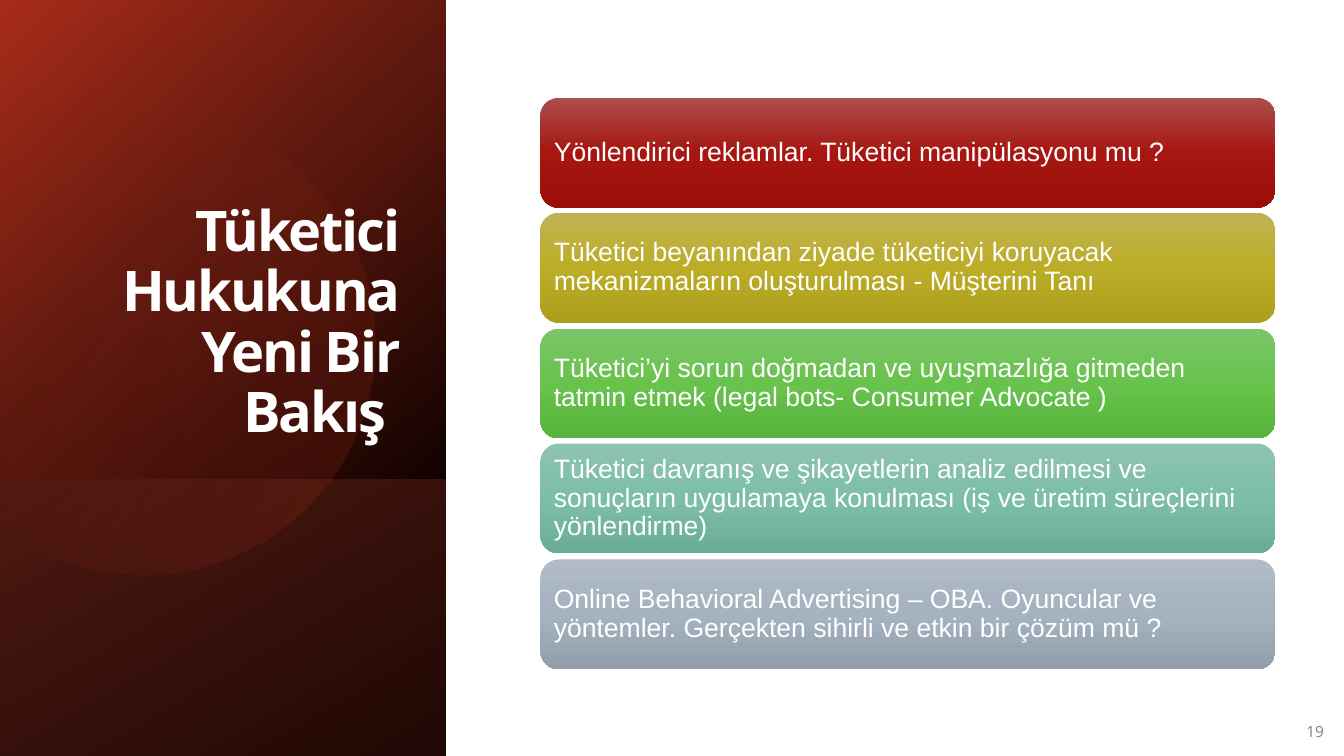
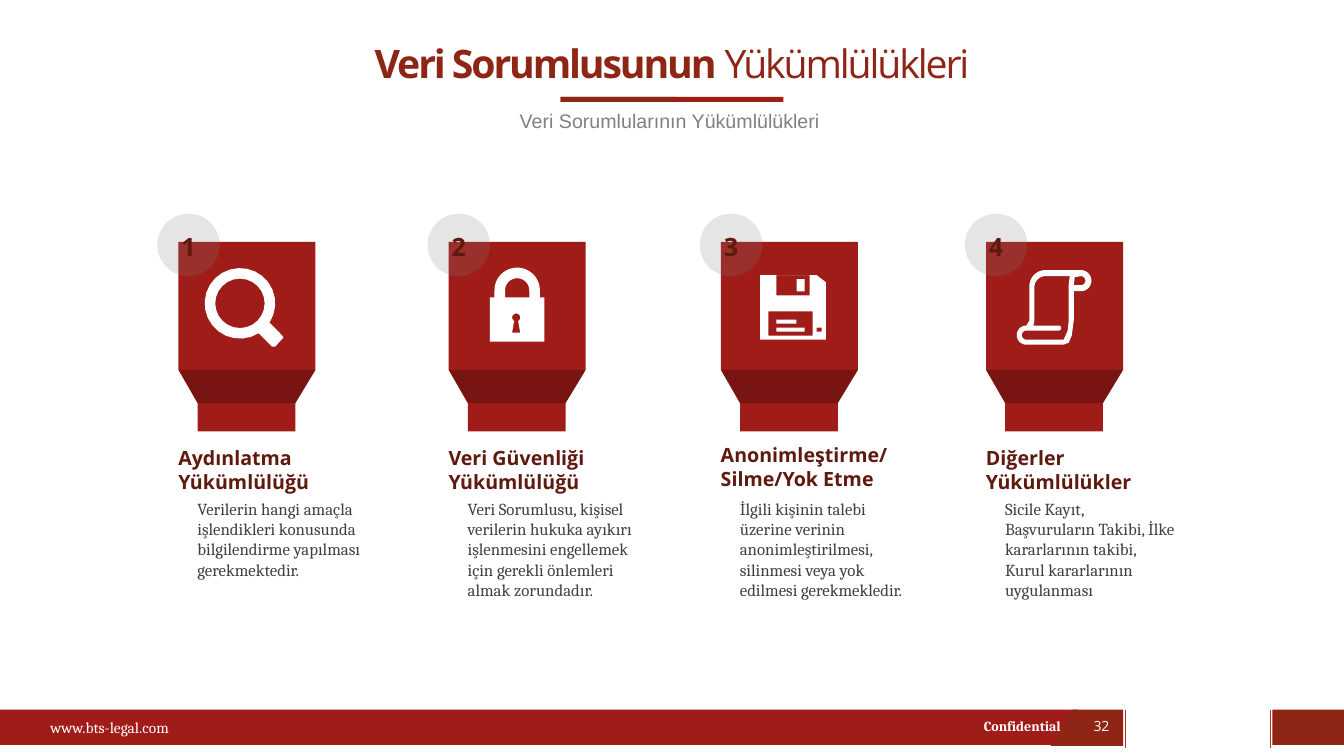
from dataclasses import dataclass
from math import cos, radians, sin

from lxml import etree
from pptx import Presentation
from pptx.dml.color import RGBColor
from pptx.enum.shapes import MSO_CONNECTOR, MSO_SHAPE
from pptx.enum.text import MSO_ANCHOR, PP_ALIGN
from pptx.oxml import parse_xml
from pptx.oxml.ns import nsdecls, qn
from pptx.util import Pt

PX = 9144  # EMU in one px, 100 px to the inch
RECT, ROUND, OVAL = MSO_SHAPE.RECTANGLE, MSO_SHAPE.ROUNDED_RECTANGLE, MSO_SHAPE.OVAL
STRAIGHT = MSO_CONNECTOR.STRAIGHT
LEFT, MID, RIGHT = PP_ALIGN.LEFT, PP_ALIGN.CENTER, PP_ALIGN.RIGHT
TOP, CENTER, BOTTOM = MSO_ANCHOR.TOP, MSO_ANCHOR.MIDDLE, MSO_ANCHOR.BOTTOM


@dataclass(frozen=True)
class Theme:
    white: str = "FFFFFF"
    red: str = "A01C18"
    rust: str = "8F2515"
    flame: str = "BF321C"
    fold: str = "781512"
    deep: str = "60190E"
    gray: str = "808080"
    ink: str = "404040"
    sans: str = "Open Sans"
    serif: str = "Cambria"
    plain: str = "Arial"
    hero: int = 40
    title: int = 28
    card: int = 19
    badge: int = 18
    head: int = 14
    body: int = 12
    foot: int = 11
    small: int = 10


T = Theme()


def tint(color, alpha=100):
    return f'<a:srgbClr val="{color}"><a:alpha val="{alpha * 1000}"/></a:srgbClr>'


def paint(shape, fill, alpha=100, angle=90):
    """Fill with one colour, or with a list of (position, colour, alpha) stops."""
    shape.shadow.inherit = False
    shape.line.fill.background()
    if isinstance(fill, str) and alpha == 100:
        shape.fill.solid()
        shape.fill.fore_color.rgb = RGBColor.from_string(fill)
        return
    if isinstance(fill, str):
        xml = f'<a:solidFill {nsdecls("a")}>{tint(fill, alpha)}</a:solidFill>'
    else:
        stops = "".join(f'<a:gs pos="{p * 1000}">{tint(c, a)}</a:gs>' for p, c, a in fill)
        xml = (f'<a:gradFill {nsdecls("a")} rotWithShape="1"><a:gsLst>{stops}</a:gsLst>'
               f'<a:lin ang="{angle * 60000}" scaled="0"/></a:gradFill>')
    shape.fill.background()
    props = shape._element.spPr
    props.replace(props.find(qn("a:noFill")), parse_xml(xml))


def write(frame, text, size=12, font=T.sans, color=T.white, bold=False, align=LEFT,
          anchor=TOP, lines=None, track=0, inset=None, wrap=True):
    """Write one paragraph; text is a string or a list of (string, bold) runs."""
    frame.word_wrap = wrap
    frame.vertical_anchor = anchor
    if inset is not None:
        frame.margin_left = frame.margin_right = inset * PX
    para = frame.paragraphs[0]
    para.alignment = align
    if lines:
        para.line_spacing = lines
    for part, heavy in [(text, bold)] if isinstance(text, str) else text:
        run = para.add_run()
        run.text = part
        run.font.size, run.font.name, run.font.bold = Pt(size), font, heavy
        run.font.color.rgb = RGBColor.from_string(color)
        if track:
            run._r.get_or_add_rPr().set("spc", str(track))


def arc(x, y, r, start, end, steps=24):
    """Points of an arc; angles in degrees, clockwise from the right."""
    turns = [radians(start + (end - start) * i / steps) for i in range(steps + 1)]
    return [(x + r * cos(t), y + r * sin(t)) for t in turns]


class Deck:
    def __init__(self):
        self.prs = Presentation()
        self.prs.slide_width, self.prs.slide_height = 1333 * PX, 750 * PX
        self.shapes = None

    def page(self):
        self.shapes = self.prs.slides.add_slide(self.prs.slide_layouts[6]).shapes

    def box(self, x, y, w, h, fill, kind=RECT, **look):
        shape = self.shapes.add_shape(kind, x * PX, y * PX, w * PX, h * PX)
        paint(shape, fill, **look)
        return shape

    def text(self, x, y, w, h, text, **form):
        area = self.shapes.add_textbox(x * PX, y * PX, w * PX, h * PX)
        write(area.text_frame, text, **form)

    def line(self, x, y, x2, y2, color):
        rule = self.shapes.add_connector(STRAIGHT, x * PX, y * PX, x2 * PX, y2 * PX)
        rule.line.color.rgb = RGBColor.from_string(color)
        rule.line.width = Pt(1)
        etree.SubElement(rule._element.spPr, qn("a:effectLst"))

    def outline(self, rings, fill, **look):
        """Draw closed rings as one shape; inner rings are holes."""
        pen = None
        for ring in rings:
            (x, y), *rest = [(round(a * PX), round(b * PX)) for a, b in ring]
            if pen:
                pen.move_to(x, y)
            else:
                pen = self.shapes.build_freeform(x, y, scale=1.0)
            pen.add_line_segments(rest, close=True)
        paint(pen.convert_to_shape(), fill, **look)

    def number(self, x, y, w, text, **form):
        self.text(x, y, w, 40, text, align=MID, anchor=CENTER, **form)

    def footer(self):
        self.box(0, 704, 1069, 35, T.red)
        for x in (1260, 1116):
            self.line(x, 704, x, 742, T.flame)
        self.outline([[(1064, 704), (1114, 704), (1114, 740), (1042, 740)]], T.rust)
        self.box(1262, 704, 71, 35, T.rust)
        self.text(40, 705, 258, 34, "www.bts-legal.com", size=T.foot, font=T.serif,
                  anchor=CENTER)
        self.text(966, 707, 110, 27, "Confidential", size=T.small, font=T.serif,
                  bold=True, wrap=False)

    def card(self, y, text, shades):
        stops = [(p, c, 100) for p, c in zip((0, 50, 100), shades)]
        shape = self.box(536, y, 729, 109, stops, ROUND)
        write(shape.text_frame, text, size=T.card, font=T.plain, anchor=CENTER,
              lines=0.9, inset=8)

    def duty(self, x, mark, head, body, lift=0):
        """Draw one numbered pedestal with its heading and text."""
        self.box(x + 19, 400, 97, 28, T.red)
        self.box(x, 240, 136, 127, T.red)
        self.outline([[(x, 367), (x + 19, 400), (x + 116, 400), (x + 136, 367)]], T.fold)
        self.text(x - 10, 439 - lift, 195, 54, head, size=T.head, color=T.deep,
                  bold=True, anchor=CENTER)
        self.box(x - 21, 212, 62, 62, T.gray, OVAL, alpha=20)
        self.text(x - 15, 222, 50, 44, mark, size=T.badge, color=T.deep, bold=True,
                  align=MID, anchor=CENTER)
        self.text(x + 9, 490, 190, 131, body, size=T.body, font=T.serif, color=T.ink)


CARDS = [
    ("Yönlendirici reklamlar. Tüketici manipülasyonu mu ?",
     ("AC4E4D", "A71611", "9A0E09")),
    ("Tüketici beyanından ziyade tüketiciyi koruyacak mekanizmaların oluşturulması"
     " - Müşterini Tanı", ("C0B354", "BCAD27", "AD9F1D")),
    ("Tüketici’yi sorun doğmadan ve uyuşmazlığa gitmeden tatmin etmek"
     " (legal bots- Consumer Advocate )", ("7CC56A", "67C34C", "58B33D")),
    ("Tüketici davranış ve şikayetlerin analiz edilmesi ve sonuçların uygulamaya"
     " konulması (iş ve üretim süreçlerini yönlendirme)", ("8EC3B0", "7CBEA7", "6AAC95")),
    ("Online Behavioral Advertising – OBA. Oyuncular ve yöntemler. Gerçekten sihirli"
     " ve etkin bir çözüm mü ?", ("B0BBC7", "A5B2C0", "919EAC")),
]

DUTIES = [
    (177, "1", "Aydınlatma Yükümlülüğü",
     "Verilerin hangi amaçla işlendikleri konusunda bilgilendirme yapılması gerekmektedir."),
    (445, "2", "Veri Güvenliği Yükümlülüğü",
     "Veri Sorumlusu, kişisel verilerin hukuka ayıkırı işlenmesini engellemek için"
     " gerekli önlemleri almak zorundadır."),
    (715, "3", "Anonimleştirme/Silme/Yok Etme",
     "İlgili kişinin talebi üzerine verinin anonimleştirilmesi, silinmesi veya yok"
     " edilmesi gerekmekledir.", 3),
    (978, "4", "Diğerler Yükümlülükler",
     "Sicile Kayıt, Başvuruların Takibi, İlke kararlarının takibi, Kurul kararlarının"
     " uygulanması"),
]

LENS = [
    arc(238, 301, 35, 58, 393) + [(280, 333), (281, 335), (273, 344), (270, 344)],
    arc(238, 301, 24.5, 0, 360),
]
LOCK = [
    [(486, 339), (486, 295), (490.5, 295)] + arc(513, 288, 22.5, 180, 360)
    + [(535.5, 295), (540, 295), (540, 339)],
    [(501, 295)] + arc(513, 288, 12, 180, 360) + [(525, 295)],
    arc(512, 315, 4, 120, 420) + [(516, 330), (508, 330)],
]
SCROLL = [
    arc(1072, 278.5, 10.5, -90, 90) + [(1065, 289), (1065, 318), (1063, 333), (1060, 340),
                                       (1055, 342)]
    + arc(1018, 332.5, 9.5, 90, 270) + [(1021, 318)] + arc(1037, 284, 16, 180, 270),
    [(1060, 282), (1060, 318), (1059, 328), (1055, 337)] + arc(1018, 332.5, 4.5, 90, 270)
    + arc(1050, 325.5, 2.5, 90, -90) + [(1025, 323), (1026, 318)]
    + arc(1037, 285, 11, 180, 270) + [(1061, 274)],
    [(1065, 283), (1066, 275)] + arc(1072, 278.5, 4.5, -90, 90),
]
DISK = [
    [(810, 273), (754, 273), (754, 337), (819, 337), (819, 280)],
    [(770, 273), (803, 273), (803, 293), (770, 293)],
    [(762, 333), (762, 309), (806, 309), (806, 333)],
    [(815, 329), (810, 329), (810, 325), (815, 325)],
]
SLOTS = [(790, 277, 8, 12), (770, 325, 28, 4), (770, 317, 20, 4)]


def outlook(deck):
    deck.page()
    deck.box(0, 0, 442, 476, [(0, "A82B19", 100), (50, "5C180E", 100), (100, "120200", 100)],
             angle=48)
    deck.box(0, 476, 442, 274, [(0, "4E1911", 100), (100, "200804", 100)], angle=60)
    deck.outline([[(0, 159)] + arc(142, 340, 230, -128, 128, 60) + [(0, 521)]],
                 [(29, T.flame, 0), (100, T.flame, 20)], angle=30)
    deck.text(64, 184, 341, 262, "Tüketici Hukukuna Yeni Bir Bakış ", size=T.hero,
              bold=True, align=RIGHT, anchor=BOTTOM, lines=0.9, track=-150)
    deck.number(1280, 706, 49, "19", size=T.foot, color=T.gray)
    for i, (text, shades) in enumerate(CARDS):
        deck.card(97 + i * 1146 // 10, text, shades)


def duties(deck):
    deck.page()
    deck.footer()
    deck.text(132, 30, 1069, 64, [("Veri Sorumlusunun ", True), ("Yükümlülükleri", False)],
              size=T.title, color=T.rust, align=MID, anchor=CENTER, track=-150)
    deck.box(556, 96, 221, 5, T.red)
    deck.box(556, 96, 114, 5, T.rust)
    deck.text(401, 103, 532, 34, "Veri Sorumlularının Yükümlülükleri ", size=T.head,
              font=T.plain, color=T.gray, align=MID)
    for duty in DUTIES:
        deck.duty(*duty)
    deck.number(1069, 700, 47, "32", size=T.small)
    for icon in (LOCK, LENS, SCROLL, DISK):
        deck.outline(icon, T.white)
    for slot in SLOTS:
        deck.box(*slot, T.white)


def main():
    deck = Deck()
    outlook(deck)
    duties(deck)
    deck.prs.save("out.pptx")


if __name__ == "__main__":
    main()
